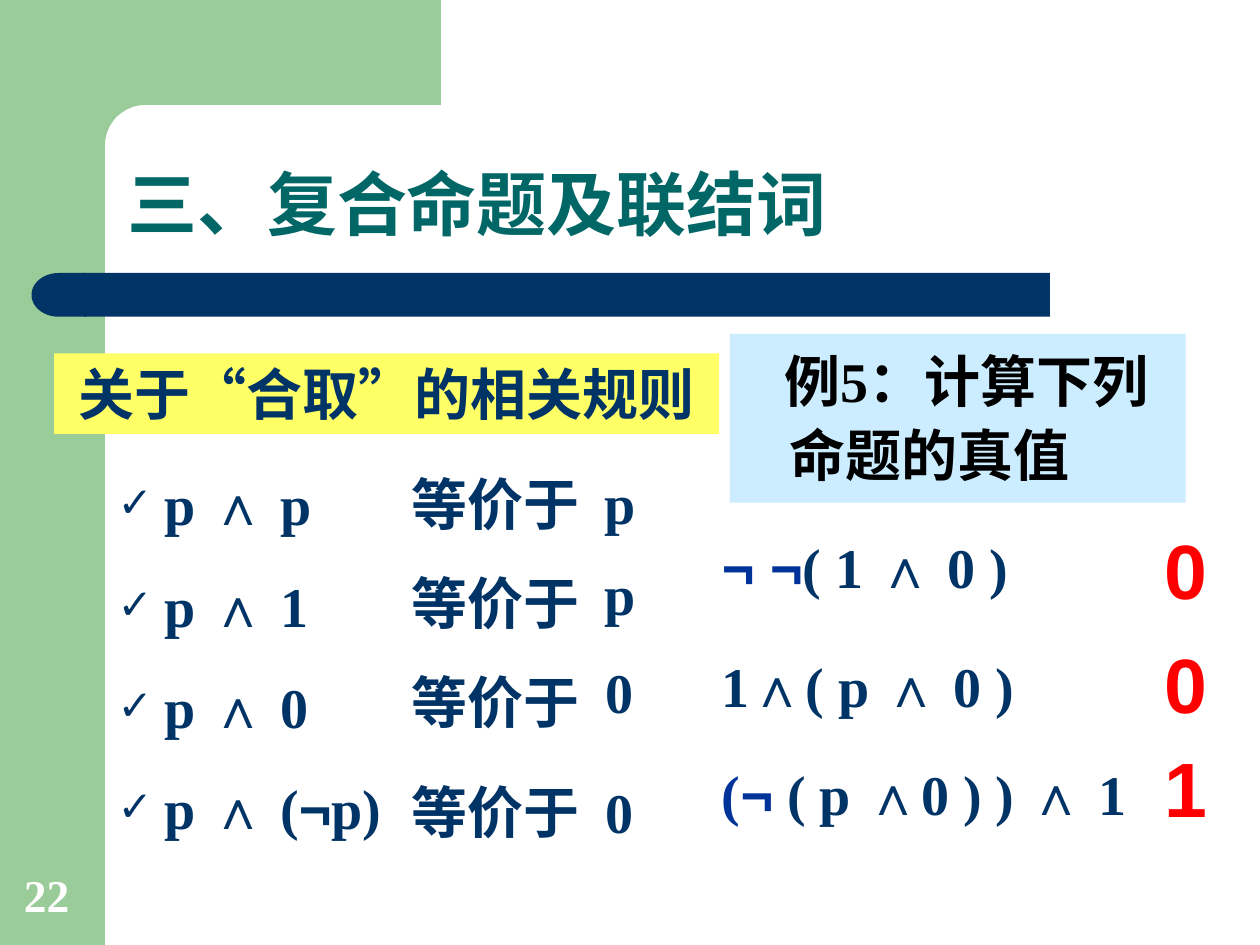
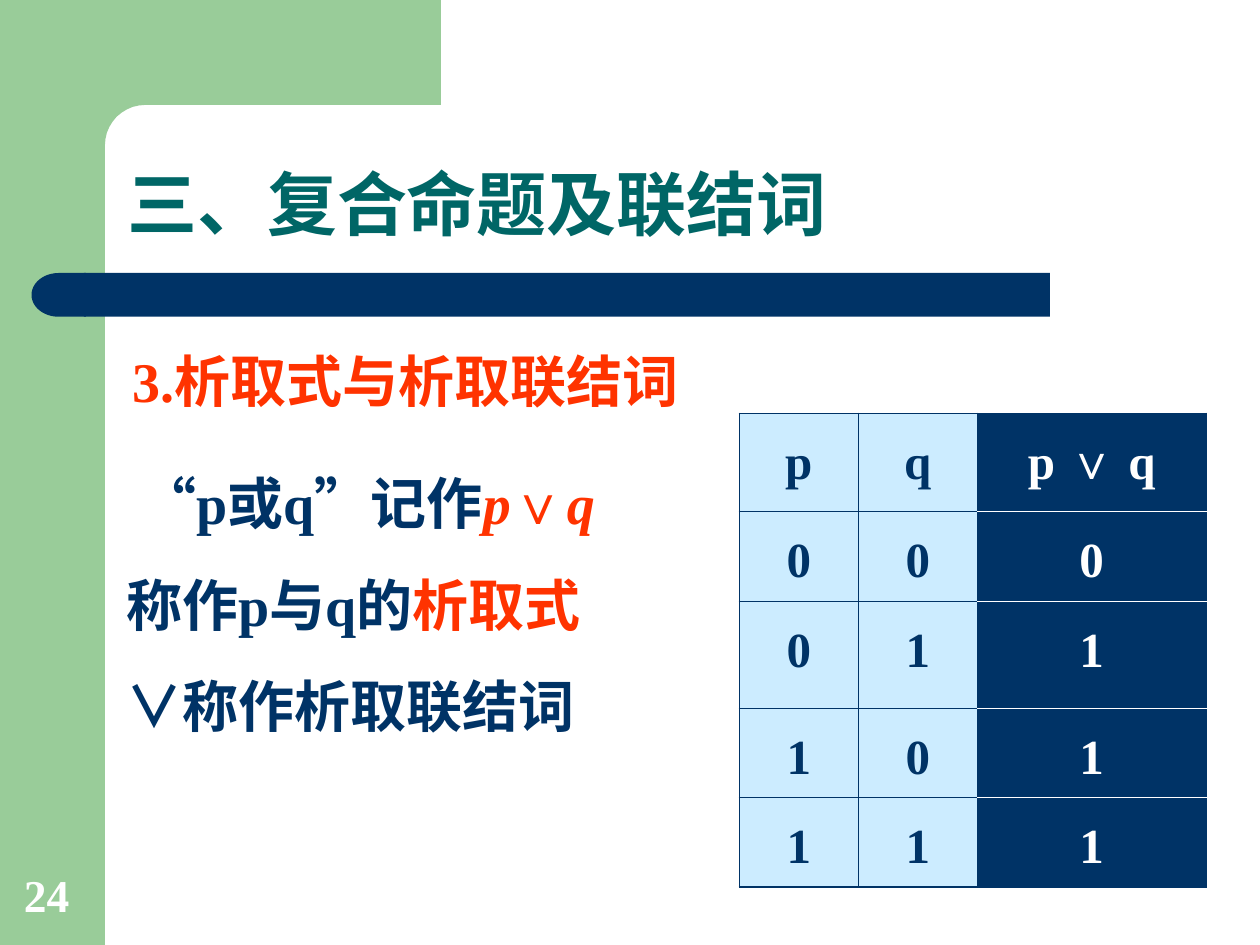
import math

from lxml import etree
from pptx import Presentation
from pptx import util as u
from pptx.dml.color import RGBColor
from pptx.enum import shapes, text
from pptx.oxml import ns

Pt = u.Pt
COLORS = {
    "navy": "003366", "blue": "003399", "teal": "006666", "green": "99CC99",
    "sky": "CCECFF", "yellow": "FFFF66", "orange": "FF3300", "red": "FF0000",
    "white": "FFFFFF", "black": "000000",
}
SERIF, SANS = "Times New Roman", "Arial"
BASE_FONT = {"name": SERIF, "size": Pt(32), "bold": True, "color": "navy"}
ALIGN, ANCHOR = text.PP_ALIGN, text.MSO_ANCHOR
PRESET = shapes.MSO_SHAPE
LOOSE = {"line_spacing": 1.3}
HANGING = {"marL": Pt(27), "indent": Pt(-27)}


def rgb(color):
    return RGBColor.from_string(COLORS[color])


def apply(target, values):
    for name, value in values.items():
        setattr(target, name, value)


def add_xml(parent, tag, **attributes):
    element = etree.SubElement(parent, ns.qn(tag))
    for name, value in attributes.items():
        element.set(name, str(value))
    return element


class Deck:
    """Holds the shared style and the slide being built."""

    def __init__(self):
        self.presentation = Presentation()
        apply(self.presentation, {"slide_width": Pt(720), "slide_height": Pt(540)})
        self.slide = None

    def new_slide(self, title, number):
        layout = self.presentation.slide_layouts[1]
        self.slide = self.presentation.slides.add_slide(layout)
        self.bands()
        self.placeholder(0, (65.5, 65.5, 612.7, 78.5),
                         [[(title, {"size": Pt(40), "color": "teal"})]],
                         {"alignment": ALIGN.LEFT, "line_spacing": 0.9}, anchor=ANCHOR.BOTTOM)
        self.textbox((6.5, 491.8, 46, 38.2), [[(number, {"size": Pt(26), "color": "white"})]],
                     anchor=ANCHOR.BOTTOM)

    def bands(self):
        self.shape(PRESET.RECTANGLE, (0, 0, 60, 540), "green")
        arc = [(83 - 23 * math.sin(math.radians(a)), 83 - 23 * math.cos(math.radians(a)))
               for a in range(0, 91, 9)]
        outline = [(252, 0), (252, 60), *arc, (60, 92), (36, 92), (36, 0)]
        points = [(10 * x, 10 * y) for x, y in outline]
        builder = self.slide.shapes.build_freeform(*points[0], scale=Pt(1) / 10)
        builder.add_line_segments(points[1:], close=True)
        self.paint(builder.convert_to_shape(), "green")
        self.shape(PRESET.RECTANGLE, (48, 156, 552, 25), "navy")
        cap = self.shape(PRESET.FLOWCHART_DELAY, (18, 156, 31, 25), "navy")
        cap.rotation = 180

    def paint(self, shape, color):
        shape.shadow.inherit = False
        shape.fill.solid()
        shape.fill.fore_color.rgb = rgb(color)
        shape.line.fill.background()
        return shape

    def shape(self, preset, box, color):
        return self.paint(self.slide.shapes.add_shape(preset, *map(Pt, box)), color)

    def fill_text(self, frame, paragraphs, layout=None, font=None, indent=None, bullet=None):
        for index, runs in enumerate(paragraphs):
            paragraph = frame.add_paragraph() if index else frame.paragraphs[0]
            properties = paragraph._p.get_or_add_pPr()
            for name, value in (indent or {}).items():
                properties.set(name, str(value))
            if bullet:
                add_xml(add_xml(properties, "a:buClr"), "a:srgbClr", val=COLORS["navy"])
                add_xml(properties, "a:buSzPct", val=75000)
                add_xml(properties, "a:buChar", char=bullet)
            else:
                add_xml(properties, "a:buNone")
            apply(paragraph, {"alignment": ALIGN.LEFT, "space_before": Pt(8 if index else 0),
                              **(layout or {})})
            for words, changes in runs:
                run = paragraph.add_run()
                run.text = words
                values = {**BASE_FONT, **(font or {}), **changes}
                run.font.color.rgb = rgb(values.pop("color"))
                apply(run.font, values)

    def frame(self, shape, anchor=ANCHOR.TOP, wrap=True):
        apply(shape.text_frame, {"word_wrap": wrap, "vertical_anchor": anchor,
                                 "auto_size": text.MSO_AUTO_SIZE.NONE})
        return shape.text_frame

    def placeholder(self, index, box, paragraphs, layout=None, anchor=ANCHOR.TOP, **options):
        shape = self.slide.placeholders[index]
        shape.element.getparent().append(shape.element)
        apply(shape, dict(zip(("left", "top", "width", "height"), map(Pt, box))))
        self.fill_text(self.frame(shape, anchor), paragraphs, layout, **options)

    def textbox(self, box, paragraphs, layout=None, anchor=ANCHOR.TOP, wrap=True, **options):
        shape = self.slide.shapes.add_textbox(*map(Pt, box))
        self.fill_text(self.frame(shape, anchor, wrap), paragraphs, layout, **options)

    def panel(self, box, color, paragraphs, layout=None, **options):
        shape = self.shape(PRESET.RECTANGLE, box, color)
        self.fill_text(self.frame(shape), paragraphs, layout, **options)

    def border(self, cell, side, color, width):
        line = add_xml(cell._tc.get_or_add_tcPr(), f"a:ln{side}", w=Pt(width))
        add_xml(add_xml(line, "a:solidFill"), "a:srgbClr", val=COLORS[color])

    def truth_table(self, box, widths, heights, rows):
        last_row, last_column = len(rows) - 1, len(widths) - 1
        table = self.slide.shapes.add_table(len(rows), len(widths), *map(Pt, box)).table
        apply(table, {"first_row": False, "horz_banding": False})
        for column, width in zip(table.columns, widths):
            column.width = Pt(width)
        for r, (values, height) in enumerate(zip(rows, heights)):
            table.rows[r].height = Pt(height)
            for c, value in enumerate(values):
                cell = table.cell(r, c)
                result = c == last_column
                edges = {"L": c == 0, "R": result, "T": r == 0, "B": r == last_row}
                for side, outer in edges.items():
                    white = result and side in "TB" and not outer
                    self.border(cell, side, "white" if white else "navy", 1.08 if outer else 0.45)
                cell.fill.solid()
                cell.fill.fore_color.rgb = rgb("navy" if result else "sky")
                self.fill_text(cell.text_frame, [[(value, {})]],
                               {"alignment": ALIGN.CENTER, **LOOSE},
                               {"size": Pt(28), "color": "white" if result else "navy"})


def conjunction_rules(deck):
    centered = {"alignment": ALIGN.CENTER}
    deck.new_slide("三、复合命题及联结词", "22")
    rules = [[("p ∧ p", {})], [("p ∧ 1", {})], [("p ∧ 0", {})],
             [("p ∧ (", {}), ("¬", {"name": SANS}), ("p)", {})]]
    deck.placeholder(1, (60, 253.4, 198.7, 249), rules, LOOSE, indent=HANGING, bullet="✓")
    equivalents = [(265, 264.2, "p"), (321.1, 316, "p"), (378, 372.2, "0"), (440.6, 440.6, "0")]
    for label_top, value_top, value in equivalents:
        deck.textbox((212.4, label_top, 142, 46), [[("等价于", {"name": SANS})]], centered)
        deck.textbox((320.4, value_top, 67.7, 46), [[(value, {})]], centered)

    deck.panel((31, 202, 380, 46), "yellow", [[("关于“合取”的相关规则", {"name": SANS})]], centered)
    deck.panel((417, 190.8, 260.6, 96.5), "sky",
               [[("例5：计算下列命题的真值", {"color": "black"})]],
               {"line_spacing": 1.1}, indent={"marL": Pt(27), "indent": Pt(-3)})

    blue, negation = {"color": "blue"}, {"color": "blue", "name": SANS}
    exercises = [
        (301, 199, [("¬ ¬", negation), ("( 1 ∧ 0 )", {})], 295.2, "0"),
        (368.6, 199, [("1∧( p ∧ 0 )", {})], 360, "0"),
        (430.6, 260.6, [("(", blue), ("¬", negation), (" ( p ∧0 ) ) ∧ 1", {})], 419.8, "1"),
    ]
    for top, width, formula, answer_top, answer in exercises:
        deck.textbox((405.4, top, width, 46), [formula])
        deck.textbox((649.4, answer_top, 57, 60.5), [[(answer, {})]], centered,
                     font={"name": SANS, "size": Pt(44), "color": "red"})


def disjunction(deck):
    orange = {"color": "orange"}
    italic = {**orange, "italic": True}
    deck.new_slide("三、复合命题及联结词", "24")
    definition = [
        [(" “p或q”记作", {}), ("p", italic), ("∨", orange), ("q", italic)],
        [("称作p与q的", {}), ("析取式", orange)],
        [("∨称作析取联结词", {})],
    ]
    deck.placeholder(1, (64.8, 252.7, 334.8, 193.7), definition, LOOSE, indent=HANGING)
    deck.textbox((64.8, 194.4, 334, 46), [[("3.析取式与析取联结词", orange)]],
                 {"alignment": ALIGN.CENTER}, wrap=False)
    pairs = [(p, q) for p in (0, 1) for q in (0, 1)]
    rows = [("p", "q", "p ∨ q")] + [(str(p), str(q), str(p | q)) for p, q in pairs]
    deck.truth_table((422.6, 236.2, 266.4, 270.7), (67.7, 68.4, 130.3),
                     (56.2, 51.1, 61.2, 51.1, 51.1), rows)


def main():
    deck = Deck()
    conjunction_rules(deck)
    disjunction(deck)
    deck.presentation.save("out.pptx")


if __name__ == "__main__":
    main()
